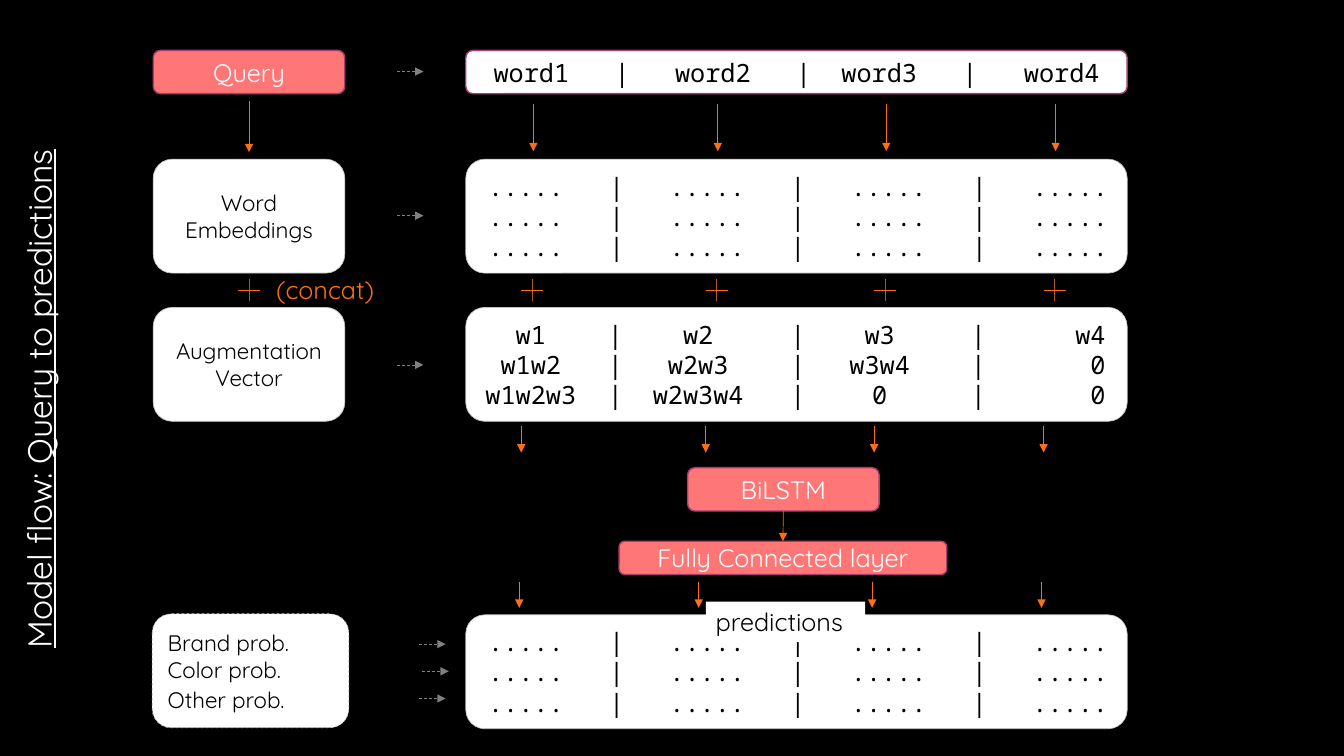
from lxml import etree
from pptx import Presentation
from pptx.dml.color import RGBColor
from pptx.enum.dml import MSO_LINE
from pptx.enum.shapes import MSO_CONNECTOR, MSO_SHAPE
from pptx.enum.text import MSO_ANCHOR, MSO_AUTO_SIZE, PP_ALIGN
from pptx.oxml.ns import qn
from pptx.util import Inches, Pt

ROUND, RECT = MSO_SHAPE.ROUNDED_RECTANGLE, MSO_SHAPE.RECTANGLE
LINE, DASH = MSO_CONNECTOR.STRAIGHT, MSO_LINE.DASH
LEFT, MID = PP_ALIGN.LEFT, PP_ALIGN.CENTER
CENTER, TOP = MSO_ANCHOR.MIDDLE, MSO_ANCHOR.TOP
FIXED = MSO_AUTO_SIZE.NONE

SANS, MONO = "Quicksand", "Noto Sans Mono"
BLACK, WHITE, GREY, SILVER = "000000", "FFFFFF", "808080", "C3C3C5"
CORAL, PLUM, ORANGE, RUST = "FE7776", "A83C73", "FF6D14", "AF5A20"

COLS = [5.29, 7.12, 8.79, 10.47]
OUTS = [5.15, 6.93, 8.65, 10.33]
WORDS = [["word1", "word2", "word3", "word4"]]
DOTS = [["....."] * 4] * 3
GRAMS = [["w1", "w2", "w3", "w4"], ["w1w2", "w2w3", "w3w4", "0"],
         ["w1w2w3", "w2w3w4", "0", "0"]]
WORD_TABS = [0.63, 1.53, 2.43, 3.33, 4.08, 4.98, 5.89]
DOT_TABS = [0.54 + 0.9 * i for i in range(7)]
GRAM_TABS = [0.59, 1.43, 2.25, 3.24, 4.05, 5.03, 6.29]


def color(code):
    """Turn a hex string into a colour."""
    return RGBColor.from_string(code)


def style(shape, text, size, ink, face=SANS, align=MID, anchor=CENTER):
    """Put text in a shape and format its runs."""
    frame = shape.text_frame
    frame.text = text
    frame.word_wrap = True
    frame.auto_size = FIXED
    frame.vertical_anchor = anchor
    for para in frame.paragraphs:
        para.alignment = align
        for run in para.runs:
            run.font.size = Pt(size)
            run.font.name = face
            run.font.color.rgb = color(ink)
    return frame


def box(slide, area, fill, edge=None, width=0.5, kind=ROUND):
    """Draw a filled box."""
    shape = slide.shapes.add_shape(kind, *map(Inches, area))
    shape.shadow.inherit = False
    shape.fill.solid()
    shape.fill.fore_color.rgb = color(fill)
    if edge:
        shape.line.color.rgb = color(edge)
        shape.line.width = Pt(width)
    else:
        shape.line.fill.background()
    return shape


def step(slide, area, text):
    """Draw a coral step box."""
    shape = box(slide, area, CORAL, PLUM, 1)
    style(shape, text, 18, WHITE)
    return shape


def grid(slide, top, high, rows, stops, edge=SILVER, width=0.5, last="ctr"):
    """Draw a wide box of columns held by tab stops."""
    shape = box(slide, (4.62, top, 6.56, high), WHITE, edge, width)
    text = "\n".join("\t" + "\t|\t".join(row) for row in rows)
    frame = style(shape, text, 18, BLACK, MONO, LEFT)
    frame.margin_left = frame.margin_right = 0
    for para in frame.paragraphs:
        props = para._p.get_or_add_pPr()
        tabs = etree.SubElement(props, qn("a:tabLst"))
        for stop in stops:
            tab = etree.SubElement(tabs, qn("a:tab"))
            tab.set("pos", str(Inches(stop)))
            tab.set("algn", last if stop == stops[-1] else "ctr")


def line(slide, x1, y1, x2, y2, ink=ORANGE, head=False, dash=None):
    """Draw a thin line, with an arrowhead if asked."""
    link = slide.shapes.add_connector(LINE, *map(Inches, (x1, y1, x2, y2)))
    link.line.color.rgb = color(ink)
    link.line.width = Pt(0.5)
    if dash:
        link.line.dash_style = dash
    if head:
        tip = etree.SubElement(link.line._get_or_add_ln(), qn("a:tailEnd"))
        tip.set("type", "triangle")
    etree.SubElement(link._element.spPr, qn("a:effectLst"))
    return link


def plus(slide, x, y=2.88):
    """Draw a plus sign from two lines."""
    line(slide, x, y + 0.11, x, y - 0.11, RUST)
    line(slide, x + 0.11, y, x - 0.11, y)


def title(slide, text):
    """Set the title up the left edge."""
    shape = slide.shapes.title
    shape.left, shape.top = Inches(-2.38), Inches(3.52)
    shape.width, shape.height = Inches(5.52), Inches(0.5)
    shape.rotation = 270
    frame = style(shape, text, 24, WHITE, align=LEFT, anchor=TOP)
    frame.paragraphs[0].runs[0].font.underline = True


def inputs(slide):
    """Draw the left column."""
    step(slide, (1.52, 0.5, 1.9, 0.43), "Query")
    for top, text in ((1.58, "Word Embeddings"), (3.05, "Augmentation Vector")):
        shape = box(slide, (1.52, top, 1.9, 1.13), WHITE, SILVER)
        style(shape, text, 16, BLACK)
    line(slide, 2.47, 1, 2.47, 1.51, head=True)
    plus(slide, 2.47)
    note = slide.shapes.add_textbox(*map(Inches, (2.64, 2.67, 1.29, 0.4)))
    style(note, "(concat)", 18, ORANGE, align=LEFT, anchor=TOP)
    probs = box(slide, (1.51, 6.09, 1.95, 1.13), WHITE, SILVER)
    probs.line.dash_style = DASH
    text = "Brand prob.\nColor prob.\nOther prob."
    frame = style(probs, text, 16, BLACK, align=LEFT)
    frame.paragraphs[2].space_before = Pt(2)


def flow(slide):
    """Draw the right column and its arrows."""
    grid(slide, 0.5, 0.43, WORDS, WORD_TABS, PLUM, 1)
    grid(slide, 1.58, 1.13, DOTS, DOT_TABS)
    grid(slide, 3.05, 1.13, GRAMS, GRAM_TABS, last="r")
    grid(slide, 6.1, 1.13, DOTS, DOT_TABS)
    for x, out in zip(COLS, OUTS):
        line(slide, x, 1.03, x, 1.5, head=True)
        plus(slide, x - 0.01)
        line(slide, x - 0.12, 4.23, x - 0.12, 4.49, head=True)
        line(slide, out, 5.77, out, 6.03, head=True)
    lstm = step(slide, (6.82, 4.64, 1.9, 0.43), "BiLSTM")
    dense = step(slide, (6.14, 5.37, 3.25, 0.33), "Fully Connected layer")
    link = line(slide, 7.77, 5.07, 7.77, 5.37, head=True)
    link.begin_connect(lstm, 2)
    link.end_connect(dense, 0)
    label = box(slide, (7, 5.97, 1.58, 0.4), WHITE, kind=RECT)
    style(label, "predictions", 18, BLACK, align=LEFT, anchor=TOP)


def main():
    """Build the slide and save it."""
    deck = Presentation()
    deck.slide_width, deck.slide_height = Inches(13.33), Inches(7.5)
    slide = deck.slides.add_slide(deck.slide_layouts[5])
    slide.background.fill.solid()
    slide.background.fill.fore_color.rgb = color(BLACK)
    title(slide, "Model flow: Query to predictions")
    inputs(slide)
    flow(slide)
    for x, y in ((3.94, 0.71), (3.94, 2.14), (3.94, 3.62),
                 (4.16, 6.39), (4.19, 6.66), (4.16, 6.93)):
        line(slide, x, y, x + 0.26, y, GREY, True, DASH)
    deck.save("out.pptx")


if __name__ == "__main__":
    main()
